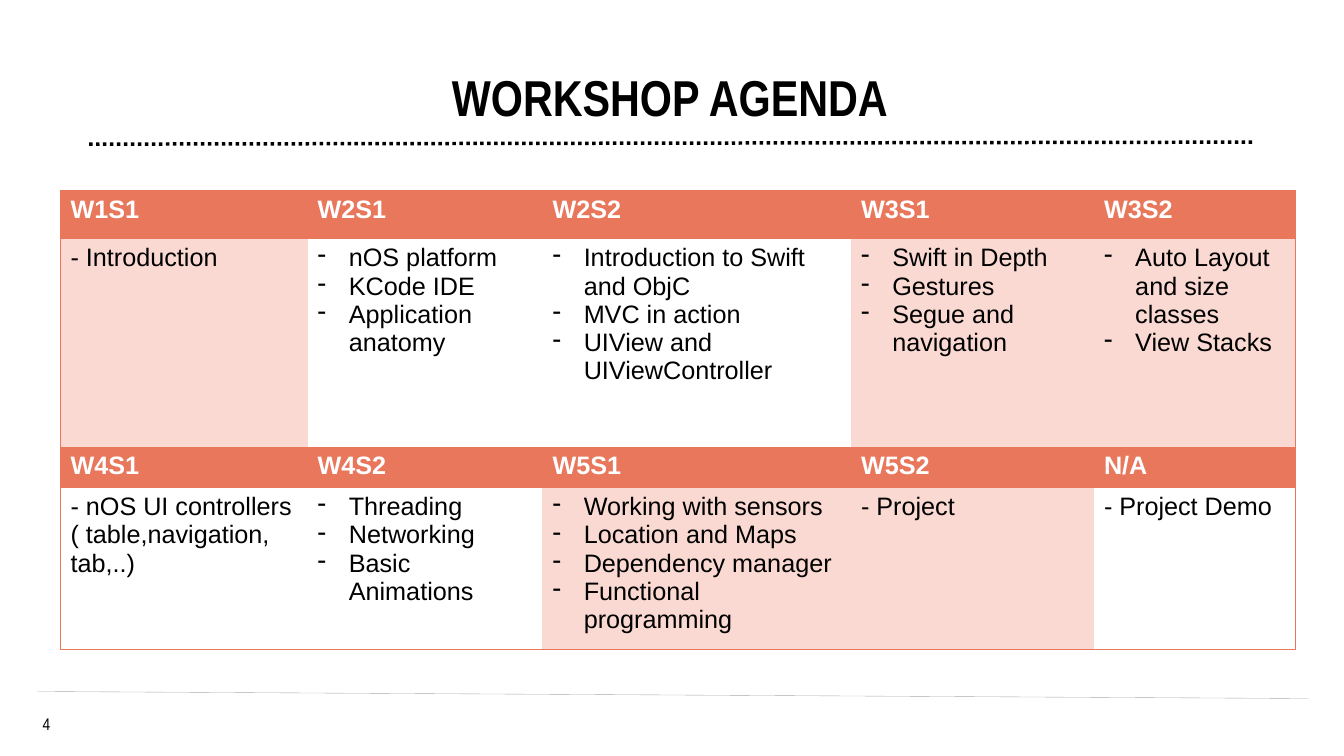
from dataclasses import dataclass
from typing import Any

from lxml.etree import SubElement
from pptx import Presentation
from pptx.dml.color import RGBColor
from pptx.enum.dml import MSO_LINE
from pptx.enum.shapes import MSO_CONNECTOR
from pptx.enum.text import MSO_ANCHOR, PP_ALIGN
from pptx.oxml import parse_xml
from pptx.oxml.ns import nsdecls, qn
from pptx.util import Inches, Pt

BLACK = RGBColor(0x00, 0x00, 0x00)
WHITE = RGBColor(0xFF, 0xFF, 0xFF)
GRAY = RGBColor(0xA6, 0xAA, 0xA9)
CORAL = RGBColor(0xE8, 0x77, 0x5C)
PINK = RGBColor(0xF9, 0xD9, 0xD1)

NO_TABLE_STYLE = "{2D5ABB26-0587-4C30-8999-92F81FD0307C}"
COLUMN_WIDTHS = (2.45, 2.33, 3.06, 2.41, 2.0)
ROW_HEIGHTS = (0.48, 2.06, 0.41, 1.5)
BULLET_INDENT = Inches(0.31)


@dataclass
class Session:
    code: str
    topics: list[str]
    shaded: bool = False


@dataclass
class Rule:
    start: tuple[float, float]
    end: tuple[float, float]
    format: dict[str, Any]
    color: RGBColor


@dataclass
class Label:
    text: str
    box: tuple[float, float, float, float]
    margins: tuple[float, float, float, float]
    frame_format: dict[str, Any]
    paragraph_format: dict[str, Any]
    font_format: dict[str, Any]


RULES = [
    Rule((0.37, 6.86), (12.98, 6.93), {"width": Pt(0.25)}, GRAY),
    Rule((12.42, 1.41), (0.88, 1.43),
         {"width": Pt(2.5), "dash_style": MSO_LINE.ROUND_DOT}, BLACK),
]

LABELS = [
    Label("WORKSHOP AGENDA", (1.32, 0.17, 10.75, 1.12), (0, 0.05, 0.1, 0.05),
          {"word_wrap": True, "vertical_anchor": MSO_ANCHOR.BOTTOM},
          {"alignment": PP_ALIGN.CENTER, "line_spacing": 0.7},
          {"name": "Arial Narrow", "size": Pt(36), "bold": True}),
    Label("4", (0.22, 7.08, 0.48, 0.2), (0, 0, 0, 0),
          {"word_wrap": True},
          {"alignment": PP_ALIGN.CENTER},
          {"name": "Arial Narrow", "size": Pt(12)}),
]

# Each week row holds a line of session codes above a line of topics
AGENDA = [
    [
        Session("W1S1", ["- Introduction"], True),
        Session("W2S1", ["nOS platform", "KCode IDE", "Application anatomy"]),
        Session("W2S2", ["Introduction to Swift and ObjC", "MVC in action",
                         "UIView and UIViewController"]),
        Session("W3S1", ["Swift in Depth", "Gestures", "Segue and navigation"], True),
        Session("W3S2", ["Auto Layout and size classes", "View Stacks"], True),
    ],
    [
        Session("W4S1", ["- nOS UI controllers ( table,navigation, tab,..)"]),
        Session("W4S2", ["Threading", "Networking", "Basic Animations"]),
        Session("W5S1", ["Working with sensors", "Location and Maps",
                         "Dependency manager", "Functional programming"], True),
        Session("W5S2", ["- Project"], True),
        Session("N/A", ["- Project Demo"]),
    ],
]


def apply_format(target: Any, values: dict[str, Any]) -> None:
    for name, value in values.items():
        setattr(target, name, value)


def draw_rule(slide: Any, rule: Rule) -> None:
    points = [Inches(value) for value in (*rule.start, *rule.end)]
    connector = slide.shapes.add_connector(MSO_CONNECTOR.STRAIGHT, *points)
    connector.line.color.rgb = rule.color
    apply_format(connector.line, rule.format)
    SubElement(connector._element.spPr, qn("a:effectLst"))


def draw_label(slide: Any, label: Label) -> None:
    shape = slide.shapes.add_textbox(*(Inches(value) for value in label.box))
    sides = ("margin_left", "margin_top", "margin_right", "margin_bottom")
    margins = {side: Inches(value) for side, value in zip(sides, label.margins)}
    apply_format(shape.text_frame, label.frame_format | margins)
    paragraph = shape.text_frame.paragraphs[0]
    paragraph.text = label.text
    apply_format(paragraph, label.paragraph_format)
    apply_format(paragraph.font, label.font_format)
    paragraph.font.color.rgb = BLACK


def add_bullet(paragraph: Any) -> None:
    properties = paragraph._p.get_or_add_pPr()
    properties.set("marL", str(BULLET_INDENT))
    properties.set("indent", str(-BULLET_INDENT))
    SubElement(properties, qn("a:buChar")).set("char", "-")


def fill_cell(cell: Any, lines: list[str], fill: RGBColor | None,
              color: RGBColor, bold: bool) -> None:
    if fill is None:
        cell.fill.background()
    else:
        cell.fill.solid()
        cell.fill.fore_color.rgb = fill
    cell.text = "\n".join(lines)
    for paragraph in cell.text_frame.paragraphs:
        apply_format(paragraph.font, {"name": "Arial", "size": Pt(18), "bold": bold})
        paragraph.font.color.rgb = color
        if len(lines) > 1:
            add_bullet(paragraph)


def outline_cell(cell: Any, sides: list[str]) -> None:
    properties = cell._tc.get_or_add_tcPr()
    for index, side in enumerate(sides):
        border = parse_xml(
            f'<a:ln{side} {nsdecls("a")} w="{Pt(0.5)}"><a:solidFill>'
            f'<a:srgbClr val="{CORAL}"/></a:solidFill></a:ln{side}>')
        properties.insert(index, border)


def draw_agenda(slide: Any) -> None:
    row_count, column_count = len(ROW_HEIGHTS), len(COLUMN_WIDTHS)
    frame = slide.shapes.add_table(
        row_count, column_count, Inches(0.6), Inches(1.89),
        Inches(sum(COLUMN_WIDTHS)), Inches(sum(ROW_HEIGHTS)))
    table = frame.table
    apply_format(table, {"first_row": False, "horz_banding": False})
    table._tbl.tblPr.find(qn("a:tableStyleId")).text = NO_TABLE_STYLE
    for column, width in zip(table.columns, COLUMN_WIDTHS):
        column.width = Inches(width)
    for row, height in zip(table.rows, ROW_HEIGHTS):
        row.height = Inches(height)

    # Session codes and topics
    for week, sessions in enumerate(AGENDA):
        for column, session in enumerate(sessions):
            fill_cell(table.cell(2 * week, column), [session.code], CORAL, WHITE, True)
            fill_cell(table.cell(2 * week + 1, column), session.topics,
                      PINK if session.shaded else None, BLACK, False)

    # Outer border
    for row in range(row_count):
        for column in range(column_count):
            edges = {"L": column == 0, "R": column == column_count - 1,
                     "T": row == 0, "B": row == row_count - 1}
            outline_cell(table.cell(row, column),
                         [side for side, is_outer in edges.items() if is_outer])


def main() -> None:
    presentation = Presentation()
    apply_format(presentation, {"slide_width": Inches(13.33), "slide_height": Inches(7.5)})
    slide = presentation.slides.add_slide(presentation.slide_layouts[6])
    for rule in RULES:
        draw_rule(slide, rule)
    for label in LABELS:
        draw_label(slide, label)
    draw_agenda(slide)
    presentation.save("out.pptx")


if __name__ == "__main__":
    main()
